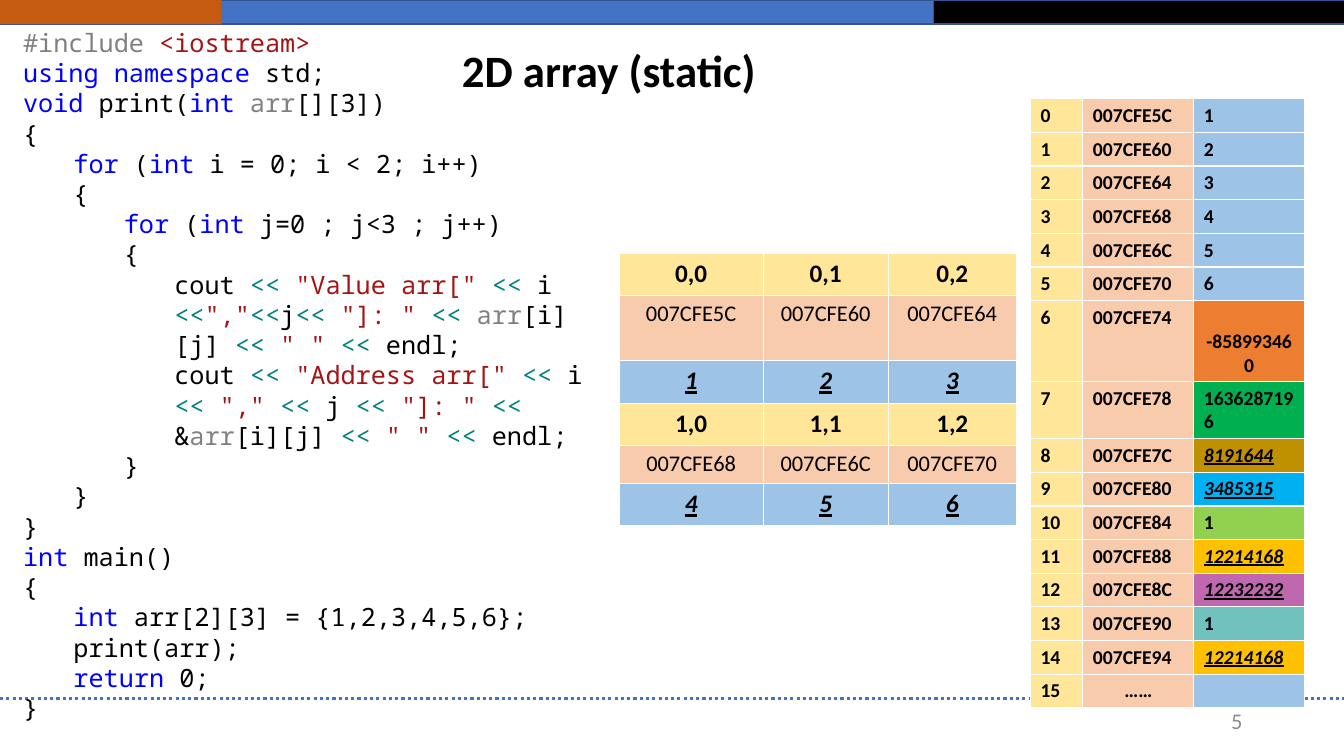
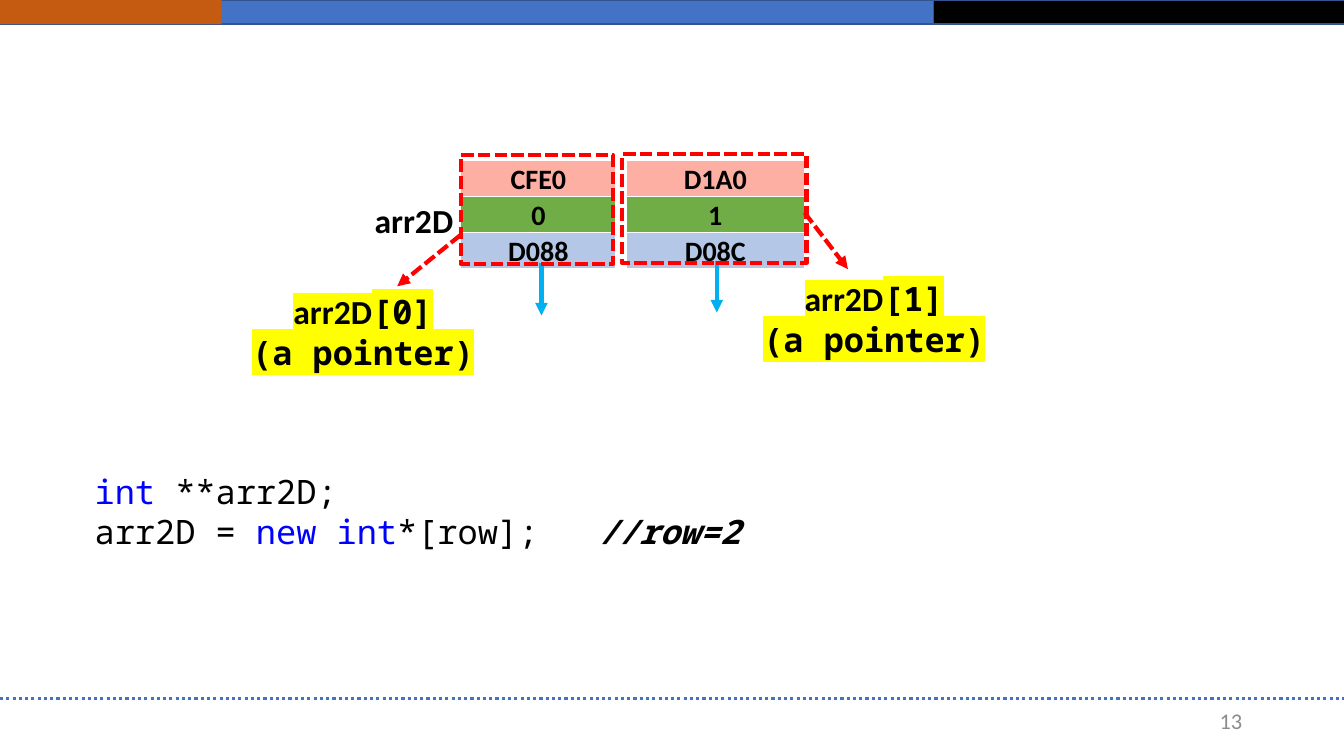
from dataclasses import dataclass

from lxml.etree import SubElement
from pptx import Presentation
from pptx.dml.color import RGBColor
from pptx.enum.dml import MSO_LINE
from pptx.enum.shapes import MSO_CONNECTOR, MSO_SHAPE
from pptx.enum.text import MSO_ANCHOR, PP_ALIGN
from pptx.oxml.ns import qn
from pptx.util import Inches, Pt


@dataclass(frozen=True)
class Theme:
    """Colours, fonts and type sizes of the deck."""
    sans: str = "Calibri"
    mono: str = "Noto Sans Mono"
    title: int = 32
    label: int = 24
    pointer: int = 20
    body: int = 18
    small: int = 16
    memory: int = 14
    black: str = "000000"
    blue: str = "4472C4"
    outline: str = "325491"
    rust: str = "C55A11"
    grey: str = "8C8C8C"
    red: str = "FF0000"
    sky: str = "00B0F0"
    marker: str = "FFFF00"
    index: str = "FFE699"
    address: str = "F8CBAD"
    value: str = "9DC3E6"
    pink: str = "FCAFA2"
    green: str = "70AD47"
    lavender: str = "B4C7E7"


THEME = Theme()
SYNTAX = {"k": "0000FF", "s": "A31515", "o": "008080", "g": "808080", "p": THEME.black, "c": THEME.black}

PRINT_CODE = [
    (0, "g#include |s<iostream>"),
    (0, "kusing namespace|p std;"),
    (0, "kvoid|p print(|kint |garr|p[][3])"),
    (0, "p{"),
    (1, "kfor|p (|kint|p i = 0; i < 2; i++)"),
    (1, "p{"),
    (2, "kfor|p (|kint|p j=0 ; j<3 ; j++)"),
    (2, "p{"),
    (3, 'pcout |o<< |s"Value arr[" |o<< |pi |o<<|s","|o<<|pj|o<< |s"]: " |o<< |garr|p[i][j] |o<< |s" " |o<< |pendl;'),
    (3, 'pcout |o<< |s"Address arr[" |o<< |pi |o<< |s"," |o<<|p j |o<< |s"]: " |o<<|p &|garr|p[i][j] '
        '|o<< |s" " |o<< |pendl;'),
    (2, "p}"),
    (1, "p}"),
    (0, "p}"),
    (0, "kint|p main()"),
    (0, "p{"),
    (1, "kint |parr[2][3] = {1,2,3,4,5,6};"),
    (1, "pprint(arr);"),
    (1, "kreturn|p 0;"),
    (0, "p}"),
]
ALLOCATION_CODE = [
    (0, "kint|p **arr2D;"),
    (0, "parr2D = |knew int|p*[row];\t|c//row=2"),
]
FIRST_ADDRESS = 0x007CFE5C
STRAY_VALUES = [
    (" -858993460", "ED7D31"), ("1636287196", "00B050"), ("8191644", "BF9000"),
    ("3485315", "00B0F0"), ("1", "92D050"), ("12214168", "FFC000"),
    ("12232232", "C068AF"), ("1", "71C1BF"), ("12214168", "FFC000"), ("", THEME.value),
]
POINTED_VALUES = {"8191644", "3485315", "12214168", "12232232"}


def rgb(color):
    """Turn a hex string into a colour."""
    return RGBColor.from_string(color)


def style(font, size, color=THEME.black, face=THEME.sans, bold=False):
    """Set the basic look of a font."""
    font.size, font.name, font.bold = Pt(size), face, bold
    font.color.rgb = rgb(color)


def address(position):
    """Give the memory address of an integer in the array."""
    return f"{FIRST_ADDRESS + 4 * position:08X}"


def add_box(slide, left, top, width, height, anchor=MSO_ANCHOR.TOP):
    """Add a wrapping text box and return its text frame."""
    frame = slide.shapes.add_textbox(Inches(left), Inches(top), Inches(width), Inches(height)).text_frame
    frame.word_wrap, frame.vertical_anchor = True, anchor
    return frame


def add_label(slide, place, text, size, align, spacing=1.0, **look):
    """Add one line of text."""
    line = add_box(slide, *place, anchor=MSO_ANCHOR.MIDDLE).paragraphs[0]
    line.text, line.alignment, line.line_spacing = text, align, spacing
    style(line.font, size, **look)


def add_rect(slide, left, top, width, height, fill=None, line=None, weight=1, dash=None):
    """Add a rectangle with an optional fill and outline."""
    rect = slide.shapes.add_shape(
        MSO_SHAPE.RECTANGLE, Inches(left), Inches(top), Inches(width), Inches(height))
    rect.shadow.inherit = False
    if fill:
        rect.fill.solid()
        rect.fill.fore_color.rgb = rgb(fill)
    else:
        rect.fill.background()
    if line:
        rect.line.color.rgb, rect.line.width = rgb(line), Pt(weight)
        rect.line.dash_style = dash
    else:
        rect.line.fill.background()


def add_line(slide, start, end, color, weight=3, dash=None, arrow=True):
    """Add a straight line, with an arrowhead at its end if wanted."""
    line = slide.shapes.add_connector(MSO_CONNECTOR.STRAIGHT, *map(Inches, start + end))
    line.line.color.rgb, line.line.width = rgb(color), Pt(weight)
    line.line.dash_style = dash
    if arrow:
        SubElement(line.line._get_or_add_ln(), qn("a:tailEnd"), type="triangle")
    SubElement(line._element.spPr, qn("a:effectLst"))


def add_code(slide, place, lines, size, anchor=MSO_ANCHOR.TOP, tab=None):
    """Add coloured code; each run starts with its syntax letter."""
    frame = add_box(slide, *place, anchor=anchor)
    for row, (level, source) in enumerate(lines):
        line = frame.add_paragraph() if row else frame.paragraphs[0]
        line.level = level
        line.font.size, line.font.name = Pt(size), THEME.mono
        if tab:
            stops = SubElement(line._p.get_or_add_pPr(), qn("a:tabLst"))
            line._p.pPr.insert(0, stops)
            SubElement(stops, qn("a:tab"), pos=str(Inches(tab)), algn="l")
        for piece in source.split("|"):
            run = line.add_run()
            run.text = piece[1:]
            run.font.color.rgb = rgb(SYNTAX[piece[0]])
            if piece[0] == "c":
                run.font.bold = run.font.italic = True


def add_grid(slide, left, top, widths, heights):
    """Add an unbanded table."""
    table = slide.shapes.add_table(
        len(heights), len(widths), Inches(left), Inches(top),
        Inches(sum(widths)), Inches(sum(heights))).table
    table.horz_banding = False
    for column, width in zip(table.columns, widths):
        column.width = Inches(width)
    for row, height in zip(table.rows, heights):
        row.height = Inches(height)
    return table


def fill_cell(cell, text, fill, size, bold=True, stressed=False, align=PP_ALIGN.CENTER):
    """Write and colour one table cell."""
    cell.fill.solid()
    cell.fill.fore_color.rgb = rgb(fill)
    line = cell.text_frame.paragraphs[0]
    line.text, line.alignment = text, align
    style(line.font, size, bold=bold)
    if stressed:
        line.font.italic = line.font.underline = True
    if not text:
        SubElement(line._p, qn("a:endParaRPr"), sz=str(size * 100))
    return line


def add_frame(slide, number):
    """Add the top bands, the footer rule and the slide number."""
    add_rect(slide, 0, 0, 9.26, 0.24, THEME.blue, THEME.outline)
    add_rect(slide, 9.26, 0, 4.08, 0.24, THEME.black, THEME.outline)
    add_rect(slide, 0, 0, 2.2, 0.24, THEME.rust)
    add_line(slide, (0, 6.93), (13.33, 6.93), THEME.blue, 2.25, MSO_LINE.ROUND_DOT, arrow=False)
    add_label(slide, (9.42, 6.95, 3, 0.4), str(number), THEME.small, PP_ALIGN.RIGHT, color=THEME.grey)


def add_memory(slide):
    """Add the memory map: index, address and value."""
    values = [(str(n), THEME.value) for n in range(1, 7)] + STRAY_VALUES
    memory = add_grid(slide, 10.22, 0.98, [0.52, 1.1, 1.1], [0.27] * len(values))
    for row, (value, color) in enumerate(values):
        place = address(row) if value else "……"
        place_align = PP_ALIGN.LEFT if value else PP_ALIGN.CENTER
        value_align = PP_ALIGN.CENTER if value.startswith(" ") else PP_ALIGN.LEFT
        fill_cell(memory.cell(row, 0), str(row), THEME.index, THEME.memory, align=PP_ALIGN.LEFT)
        fill_cell(memory.cell(row, 1), place, THEME.address, THEME.memory, align=place_align)
        fill_cell(memory.cell(row, 2), value, color, THEME.memory,
                  stressed=value in POINTED_VALUES, align=value_align)


def add_array(slide):
    """Add the 2 by 3 array: subscripts, addresses and values."""
    array = add_grid(slide, 6.14, 2.51, [1.43, 1.24, 1.27], [0.42, 0.65, 0.42, 0.42, 0.38, 0.42])
    for position in range(6):
        i, j = divmod(position, 3)
        subscript, place, value = (array.cell(3 * i + part, j) for part in range(3))
        fill_cell(subscript, f"{i},{j}", THEME.index, THEME.body)
        fill_cell(place, address(position), THEME.address, THEME.small, bold=False)
        fill_cell(value, str(position + 1), THEME.value, THEME.body, stressed=True)


def add_pointer(slide, left, width, texts):
    """Add one pointer as a stack of target, index and own address."""
    pointer = add_grid(slide, left, 1.59, [width], [0.24] * 3)
    for row, (text, fill) in enumerate(zip(texts, (THEME.pink, THEME.green, THEME.lavender))):
        cell = pointer.cell(row, 0)
        cell.margin_left = cell.margin_right = Inches(0.07)
        cell.margin_top = cell.margin_bottom = 0
        fill_cell(cell, text, fill, THEME.pointer).line_spacing = 1.07


def add_pointer_note(slide, left, top, index):
    """Add the highlighted name of one pointer."""
    frame = add_box(slide, left, top, 2.82, 0.91)
    name, kind = frame.paragraphs[0], frame.add_paragraph()
    parts = [(name, "arr2D", THEME.sans), (name, f"[{index}]", THEME.mono), (kind, "(a pointer)", THEME.mono)]
    for line, text, face in parts:
        line.alignment = PP_ALIGN.CENTER
        run = line.add_run()
        run.text = text
        style(run.font, THEME.label, face=face, bold=True)
        highlight = SubElement(run._r.rPr, qn("a:highlight"))
        SubElement(highlight, qn("a:srgbClr"), val=THEME.marker)
        run._r.rPr.find(qn("a:solidFill")).addnext(highlight)


def build_static(slide):
    """Build the slide on the static array."""
    add_frame(slide, 5)
    add_code(slide, (0.13, 0.22, 6.01, 7.07), PRINT_CODE, THEME.body)
    add_memory(slide)
    add_array(slide)
    add_label(slide, (0.29, 0.3, 11.5, 0.84), "2D array (static)", THEME.title, PP_ALIGN.CENTER, 0.9, bold=True)


def build_pointers(slide):
    """Build the slide on the array of pointers."""
    dash = MSO_LINE.SQUARE_DOT
    add_frame(slide, 13)
    add_pointer(slide, 4.57, 1.54, ["CFE0", "0", "D088"])
    add_pointer(slide, 6.21, 1.77, ["D1A0", "1", "D08C"])
    add_label(slide, (2.98, 1.76, 2.25, 0.64), "arr2D", THEME.label, PP_ALIGN.CENTER, 1.5, bold=True)
    add_line(slide, (5.37, 2.61), (5.37, 3.13), THEME.sky)
    add_line(slide, (7.11, 2.59), (7.11, 3.1), THEME.sky)
    add_line(slide, (4.57, 2.33), (3.94, 2.84), THEME.red, dash=dash)
    add_rect(slide, 4.57, 1.54, 1.51, 1.08, line=THEME.red, weight=3, dash=dash)
    add_pointer_note(slide, 2.19, 2.84, 0)
    add_rect(slide, 6.17, 1.53, 1.83, 1.08, line=THEME.red, weight=3, dash=dash)
    add_line(slide, (7.98, 2.11), (8.41, 2.67), THEME.red, dash=dash)
    add_pointer_note(slide, 7.26, 2.71, 1)
    add_code(slide, (0.84, 4.21, 9.25, 1.31), ALLOCATION_CODE, THEME.label, MSO_ANCHOR.BOTTOM, tab=5)


def main():
    """Build and save the deck."""
    deck = Presentation()
    deck.slide_width, deck.slide_height = Inches(13.33), Inches(7.5)
    blank = deck.slide_layouts[6]
    for build in (build_static, build_pointers):
        build(deck.slides.add_slide(blank))
    deck.save("out.pptx")


main()
